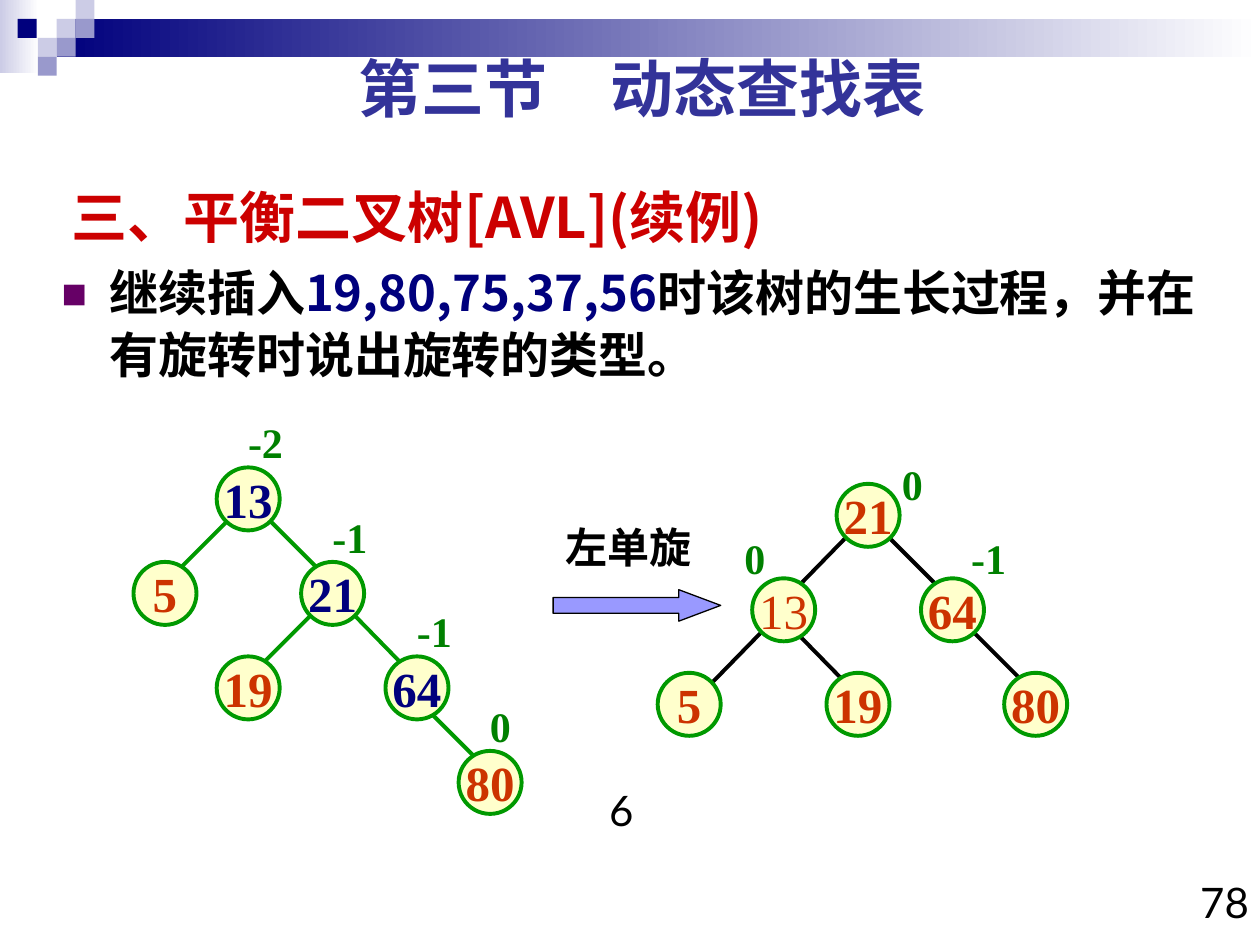
from lxml.etree import SubElement
from pptx import Presentation
from pptx.dml.color import RGBColor
from pptx.enum.shapes import MSO_CONNECTOR, MSO_SHAPE
from pptx.enum.text import MSO_ANCHOR, MSO_AUTO_SIZE, PP_ALIGN
from pptx.oxml.ns import qn
from pptx.util import Inches, Pt

NAVY = RGBColor(0x00, 0x00, 0x7D)
LAVENDER = RGBColor(0xCC, 0xCC, 0xE6)
LILAC = RGBColor(0x99, 0x99, 0xCC)
ARROW_BLUE = RGBColor(0x99, 0x99, 0xFF)
TITLE_BLUE = RGBColor(0x33, 0x33, 0x99)
RED = RGBColor(0xCC, 0x00, 0x00)
ORANGE = RGBColor(0xCC, 0x33, 0x00)
PURPLE = RGBColor(0x66, 0x00, 0x66)
CREAM = RGBColor(0xFF, 0xFF, 0xCC)
GREEN = RGBColor(0x00, 0x99, 0x00)
DARK_GREEN = RGBColor(0x00, 0x80, 0x00)
BLACK = RGBColor(0x00, 0x00, 0x00)
WHITE = RGBColor(0xFF, 0xFF, 0xFF)

CJK, LATO, TIMES = "Noto Sans CJK SC", "Lato", "Times New Roman"
NODE_SIZE = 0.5

# Nodes: key, left, top, colour, bold
LEFT_NODES = [
    ("13", 1.72, 3.71, NAVY, True), ("5", 1.06, 4.46, ORANGE, True),
    ("21", 2.39, 4.46, NAVY, True), ("19", 1.72, 5.21, ORANGE, True),
    ("64", 3.06, 5.21, NAVY, True), ("80", 3.64, 5.96, ORANGE, True),
]
RIGHT_NODES = [
    ("21", 6.64, 3.84, ORANGE, True), ("13", 5.97, 4.59, ORANGE, False),
    ("64", 7.31, 4.59, ORANGE, True), ("5", 5.22, 5.34, ORANGE, True),
    ("19", 6.56, 5.34, ORANGE, True), ("80", 7.97, 5.34, ORANGE, True),
]
# Edges: x1, y1, x2, y2
LEFT_EDGES = [
    (1.81, 4.13, 1.39, 4.55), (2.14, 4.13, 2.56, 4.55),
    (2.47, 4.88, 1.97, 5.38), (2.81, 4.88, 3.22, 5.3),
    (3.39, 5.63, 3.89, 6.13),
]
RIGHT_EDGES = [
    (6.72, 4.26, 6.31, 4.68), (6.97, 4.18, 7.47, 4.68),
    (6.05, 5.01, 5.64, 5.43), (6.31, 5.01, 6.8, 5.51),
    (7.64, 4.93, 8.14, 5.43),
]
# Balance factors: text, left, top
LEFT_FACTORS = [("-2", 1.87, 3.26), ("-1", 2.54, 4.01),
                ("-1", 3.21, 4.76), ("0", 3.79, 5.51)]
RIGHT_FACTORS = [("0", 7.06, 3.59), ("0", 5.81, 4.18), ("-1", 7.61, 4.18)]


def add_run(p, text, font, size, color, bold=False):
    r = p.add_run()
    r.text = text
    for name, value in {"name": font, "size": Pt(size), "bold": bold}.items():
        setattr(r.font, name, value)
    r.font.color.rgb = color
    SubElement(r.font._element, qn("a:ea"), typeface=CJK)


def add_text(s, box, runs, align=PP_ALIGN.LEFT, **frame):
    """Add a text box holding one paragraph of (text, font, size, colour, bold) runs."""
    tf = s.shapes.add_textbox(*map(Inches, box)).text_frame
    for name, value in {"word_wrap": True, **frame}.items():
        setattr(tf, name, value)
    p = tf.paragraphs[0]
    p.alignment = align
    for run in runs:
        add_run(p, *run)
    return p


def add_shape(s, kind, box, fill, line=None, width=0):
    """Add a preset shape; a pair of colours as fill makes a left-right gradient."""
    sp = s.shapes.add_shape(kind, *map(Inches, box))
    sp.shadow.inherit = False
    if isinstance(fill, list):
        sp.fill.gradient()
        sp.fill.gradient_angle = 0
        for stop, color in zip(sp.fill.gradient_stops, fill):
            stop.color.rgb = color
    else:
        sp.fill.solid()
        sp.fill.fore_color.rgb = fill
    if line is None:
        sp.line.fill.background()
    else:
        sp.line.color.rgb = line
        sp.line.width = Pt(width)
    return sp


def add_edge(s, ends, color):
    line = s.shapes.add_connector(MSO_CONNECTOR.STRAIGHT, *map(Inches, ends))
    line.line.color.rgb = color
    line.line.width = Pt(2.25)
    SubElement(line._element.spPr, qn("a:effectLst"))


def add_node(s, key, left, top, color, bold):
    sp = add_shape(s, MSO_SHAPE.OVAL, (left, top, NODE_SIZE, NODE_SIZE), CREAM, GREEN, 2.25)
    tf = sp.text_frame
    tf.word_wrap = False
    tf.vertical_anchor = MSO_ANCHOR.MIDDLE
    p = tf.paragraphs[0]
    p.alignment = PP_ALIGN.CENTER
    add_run(p, key, TIMES, 28, color, bold)


def add_tree(s, nodes, edges, factors, edge_color):
    for ends in edges:
        add_edge(s, ends, edge_color)
    for node in nodes:
        add_node(s, *node)
    for text, left, top in factors:
        width = 0.36 if len(text) == 1 else 0.48
        add_text(s, (left, top, width, 0.5), [(text, TIMES, 24, DARK_GREEN, True)],
                 word_wrap=False, auto_size=MSO_AUTO_SIZE.SHAPE_TO_FIT_TEXT)


def add_bullet(p, char, color, percent, indent):
    pPr = p._p.get_or_add_pPr()
    pPr.set("marL", str(Inches(indent)))
    pPr.set("indent", str(-Inches(indent)))
    SubElement(SubElement(pPr, qn("a:buClr")), qn("a:srgbClr"), val=str(color))
    SubElement(pPr, qn("a:buSzPct"), val=str(percent * 1000))
    SubElement(pPr, qn("a:buFont"), typeface=LATO)
    SubElement(pPr, qn("a:buChar"), char=char)


def add_banner(s):
    rect = MSO_SHAPE.RECTANGLE
    add_shape(s, rect, (0, 0, 0.31, 0.58), [LAVENDER, WHITE])
    add_shape(s, rect, (0.45, 0.15, 9.55, 0.3), [NAVY, WHITE])
    for left, top, color in [
        (0.45, 0.15, LAVENDER), (0.6, 0, LAVENDER), (0.6, 0.15, LILAC),
        (0.3, 0.3, LAVENDER), (0.14, 0.15, NAVY), (0.45, 0.3, LILAC), (0.3, 0.45, LILAC),
    ]:
        add_shape(s, rect, (left, top, 0.15, 0.15), color)


def main():
    prs = Presentation()
    prs.slide_width, prs.slide_height = Inches(10), Inches(7.5)
    s = prs.slides.add_slide(prs.slide_layouts[6])
    grow = {"auto_size": MSO_AUTO_SIZE.SHAPE_TO_FIT_TEXT}

    add_banner(s)
    add_text(s, (0.47, 1.34, 7.75, 0.75), [("三、平衡二叉树[AVL](续例)", CJK, 32, RED, True)],
             vertical_anchor=MSO_ANCHOR.MIDDLE)
    add_text(s, (9.34, 6.91, 0.67, 0.59), [("78", LATO, 24, BLACK)], PP_ALIGN.RIGHT, **grow)
    add_text(s, (0.47, 0.34, 9.25, 0.7), [("第三节　动态查找表", LATO, 36, TITLE_BLUE, True)],
             PP_ALIGN.CENTER, **grow)
    p = add_text(s, (0.39, 2.01, 9.58, 4.67), [
        ("继续插入", CJK, 28, BLACK, True),
        ("19,80,75,37,56", CJK, 28, NAVY, True),
        ("时该树的生长过程，并在有旋转时说出旋转的类型。", CJK, 28, BLACK, True),
    ])
    p.line_spacing = 1.05
    add_bullet(p, "■", PURPLE, 55, 0.38)
    add_text(s, (4.64, 6.18, 0.58, 0.5), [("6", LATO, 24, BLACK)], PP_ALIGN.CENTER, **grow)

    add_tree(s, LEFT_NODES, LEFT_EDGES, LEFT_FACTORS, GREEN)
    arrow = add_shape(s, MSO_SHAPE.RIGHT_ARROW, (4.39, 4.68, 1.33, 0.25), ARROW_BLUE, BLACK, 0.75)
    arrow.adjustments[1] = 1.33
    add_text(s, (4.39, 4.09, 1.2, 0.5), [("左单旋", TIMES, 24, BLACK, True)],
             word_wrap=False, **grow)
    add_tree(s, RIGHT_NODES, RIGHT_EDGES, RIGHT_FACTORS, BLACK)

    prs.save("out.pptx")


if __name__ == "__main__":
    main()
